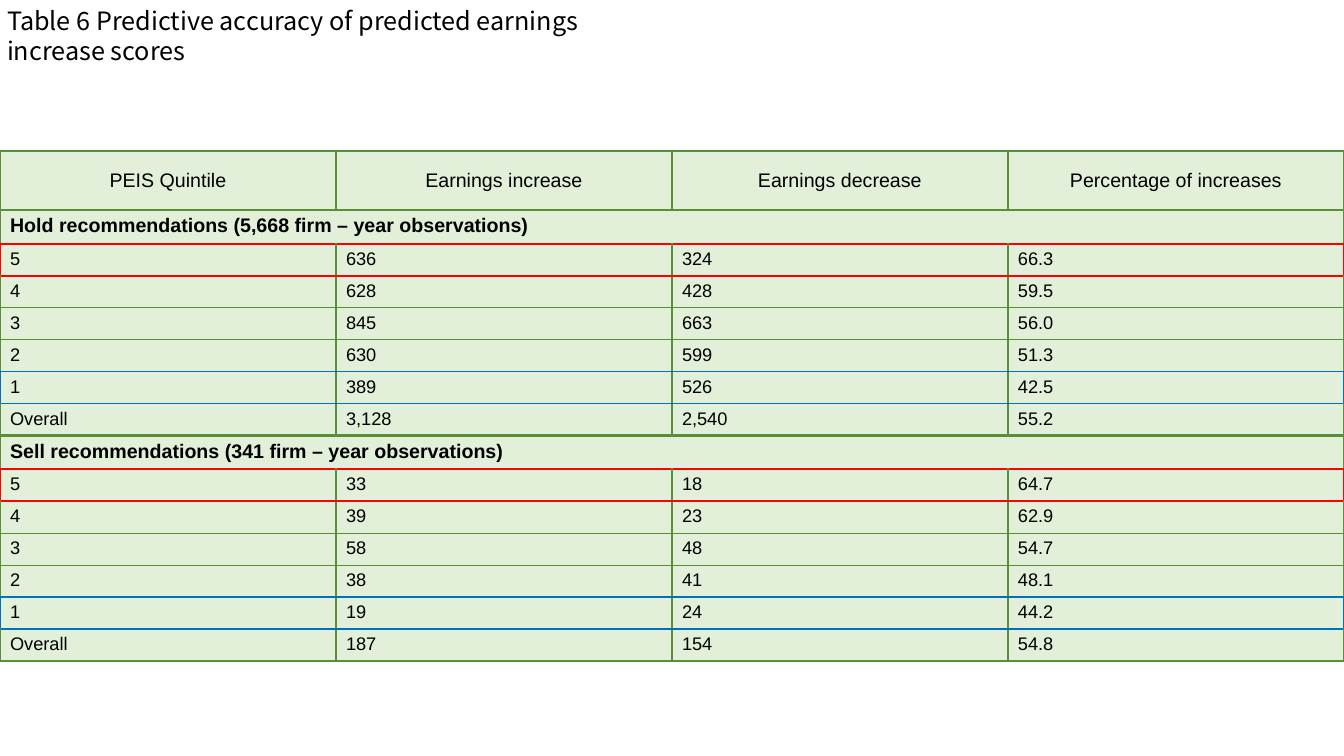
from lxml.etree import SubElement
from pptx import Presentation
from pptx.dml.color import RGBColor
from pptx.enum.text import MSO_ANCHOR as Anchor, MSO_AUTO_SIZE as AutoSize, PP_ALIGN as Align
from pptx.oxml.ns import qn
from pptx.util import Emu, Pt

PX = 914400 / 100.8
GREEN, RED, BLUE = "5B8E39", "FF0000", "0070C0"
THIN, THICK = (GREEN, 1), (GREEN, 2.25)
TOP_QUINTILE, BOTTOM_QUINTILE = (RED, 1.5), (BLUE, 1.5)

HEADINGS = ["PEIS Quintile", "Earnings increase", "Earnings decrease", "Percentage of increases"]
RECOMMENDATIONS = {
    "Hold recommendations (5,668 firm – year observations)": [
        ("5", "636", "324", "66.3"),
        ("4", "628", "428", "59.5"),
        ("3", "845", "663", "56.0"),
        ("2", "630", "599", "51.3"),
        ("1", "389", "526", "42.5"),
        ("Overall", "3,128", "2,540", "55.2"),
    ],
    "Sell recommendations (341 firm – year observations)": [
        ("5", "33", "18", "64.7"),
        ("4", "39", "23", "62.9"),
        ("3", "58", "48", "54.7"),
        ("2", "38", "41", "48.1"),
        ("1", "19", "24", "44.2"),
        ("Overall", "187", "154", "54.8"),
    ],
}
SECTION_RULES = [THICK, TOP_QUINTILE, TOP_QUINTILE, THIN, THIN, BOTTOM_QUINTILE, BOTTOM_QUINTILE]
ROW_RULES = [THICK] + SECTION_RULES * len(RECOMMENDATIONS) + [THICK]
SIDE_RULES = {"5": TOP_QUINTILE, "1": BOTTOM_QUINTILE}


def px(length):
    return Emu(round(length * PX))


def rgb(color):
    return RGBColor.from_string(color)


def write(frame, text, *, size, font="Arial", color="000000", bold=False, align=Align.LEFT):
    paragraph = frame.paragraphs[0]
    paragraph.alignment = align
    run = paragraph.add_run()
    run.text = text
    run.font.name = font
    run.font.size = Pt(size)
    run.font.bold = bold
    run.font.color.rgb = rgb(color)
    properties = run.font._element
    SubElement(properties, qn("a:ea")).set("typeface", font)


def draw_borders(cell, **rules):
    """Draw the cell's edges from L, R, T and B, each a (colour, points) pair."""
    properties = cell._tc.get_or_add_tcPr()
    for side, (color, width) in rules.items():
        line = SubElement(properties, qn(f"a:ln{side}"), w=str(Pt(width)))
        fill = SubElement(line, qn("a:solidFill"))
        SubElement(fill, qn("a:srgbClr"), val=color)


class TableSlide:
    def __init__(self, deck, cell_fill):
        self.slide = deck.slides.add_slide(deck.slide_layouts[5])
        self.cell_fill = cell_fill

    def title(self, text, left, top, width, height, **style):
        title = self.slide.shapes.title
        title.left, title.top, title.width, title.height = map(px, (left, top, width, height))
        frame = title.text_frame
        frame.word_wrap = True
        frame.auto_size = AutoSize.SHAPE_TO_FIT_TEXT
        frame.vertical_anchor = Anchor.TOP
        write(frame, text, **style)

    def table(self, rows, columns, left, top, width, header_height, row_height):
        height = header_height + row_height * (rows - 1)
        frame = self.slide.shapes.add_table(rows, columns, *map(px, (left, top, width, height)))
        table = frame.table
        table.first_row = table.horz_banding = False
        for row in table.rows:
            row.height = px(row_height)
        table.rows[0].height = px(header_height)
        return table

    def row(self, table, index, texts, side=THICK, anchor=Anchor.TOP, **style):
        """Fill one row; a single text spans every column."""
        cells = list(table.rows[index].cells)
        if len(texts) == 1:
            cells[0].merge(cells[-1])
            cells = cells[:1]
        last = len(texts) - 1
        for column, (cell, text) in enumerate(zip(cells, texts)):
            draw_borders(
                cell,
                L=side if column == 0 else THIN,
                R=side if column == last else THIN,
                T=ROW_RULES[index],
                B=ROW_RULES[index + 1],
            )
            cell.fill.solid()
            cell.fill.fore_color.rgb = rgb(self.cell_fill)
            cell.vertical_anchor = anchor
            write(cell.text_frame, text, **style)


def main():
    deck = Presentation()
    deck.slide_width, deck.slide_height = px(1344), px(756)
    page = TableSlide(deck, cell_fill="E2F0D9")
    page.title("Table 6 Predictive accuracy of predicted earnings increase scores",
               -3, 0, 674, 72, size=18, font="Noto Sans CJK KR")

    accuracy = page.table(len(ROW_RULES) - 1, len(HEADINGS), 0, 151, 1344,
                          header_height=59, row_height=28)
    page.row(accuracy, 0, HEADINGS, anchor=Anchor.MIDDLE, size=14, align=Align.CENTER)
    index = 1
    for section, quintiles in RECOMMENDATIONS.items():
        page.row(accuracy, index, [section], size=14, bold=True)
        for index, values in enumerate(quintiles, index + 1):
            page.row(accuracy, index, values, side=SIDE_RULES.get(values[0], THICK), size=13)
        index += 1

    deck.save("out.pptx")


if __name__ == "__main__":
    main()
